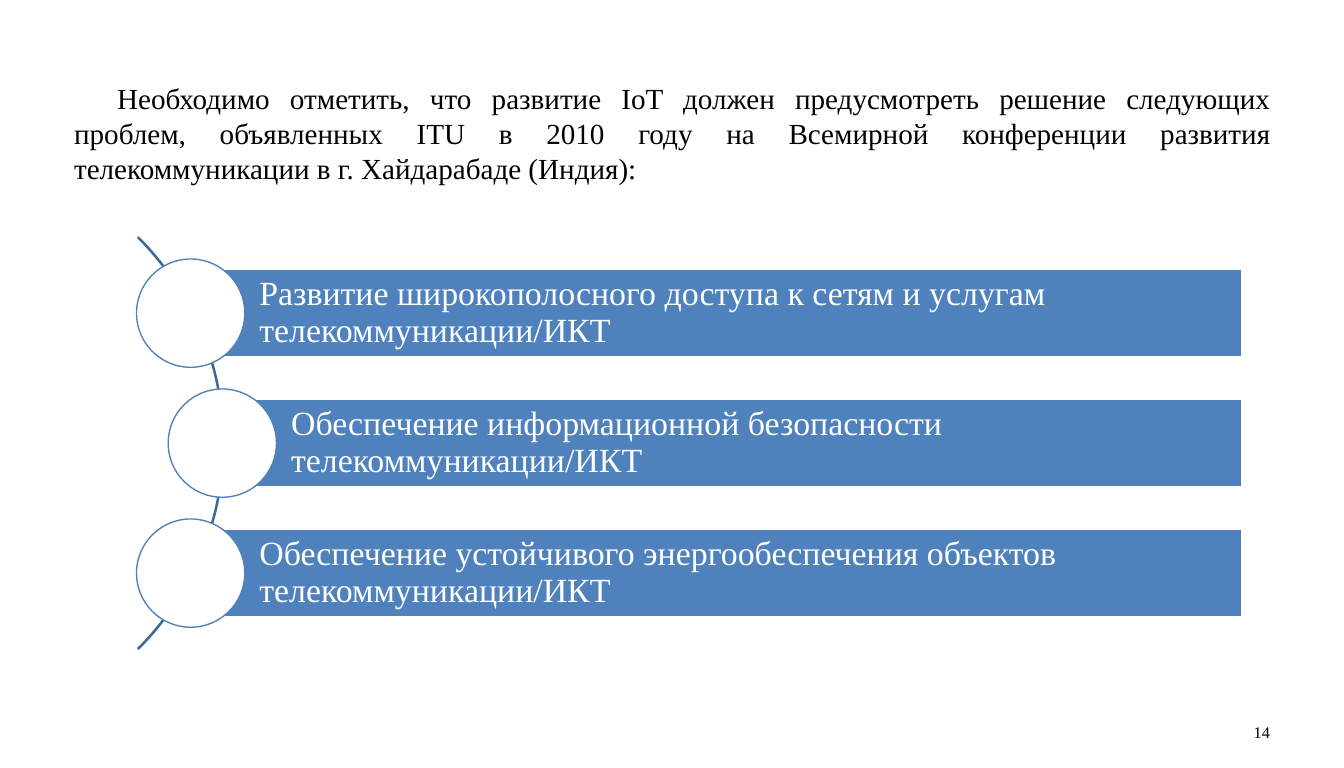
from pptx import Presentation
from pptx.dml.color import RGBColor
from pptx.enum.shapes import MSO_SHAPE as SHAPE
from pptx.enum.text import MSO_ANCHOR as ANCHOR, PP_ALIGN as ALIGN
from pptx.util import Cm, Pt


def rgb(value):
    return RGBColor.from_string(value)


def write(s, text, size, color, align, anchor, margins):
    tf = s.text_frame
    tf.word_wrap = True
    tf.vertical_anchor = anchor
    for side, value in margins.items():
        setattr(tf, f"margin_{side}", Cm(value))
    p = tf.paragraphs[0]
    p.alignment = align
    r = p.add_run()
    r.text = text
    for name, value in {"name": "Times New Roman", "size": Pt(size)}.items():
        setattr(r.font, name, value)
    r.font.color.rgb = rgb(color)
    return p


prs = Presentation()
prs.slide_width, prs.slide_height = Cm(70), Cm(40)
slide = prs.slides.add_slide(prs.slide_layouts[6])
sp = slide.shapes
BLUE, DARK_BLUE, WHITE, BLACK = "4F81BD", "3F6797", "FFFFFF", "000000"
BOX_MARGINS = {"left": 0.36, "right": 0.36, "top": 0.18, "bottom": 0.18}
BAR_MARGINS = {"left": 3.58, "right": 0.36, "top": 0.36, "bottom": 0.36}

# Introduction
s = sp.add_textbox(Cm(3.5), Cm(4.01), Cm(63.02), Cm(10.39))
p = write(s, "Необходимо отметить, что развитие IoT должен предусмотреть решение "
          "следующих проблем, объявленных ITU в 2010 году на Всемирной конференции "
          "развития телекоммуникации в г. Хайдарабаде (Индия):",
          43, BLACK, ALIGN.JUSTIFY, ANCHOR.TOP, BOX_MARGINS)
p._p.get_or_add_pPr().set("indent", str(Cm(2.24)))

# Slide number
s = sp.add_textbox(Cm(50.17), Cm(37.08), Cm(16.33), Cm(2.13))
write(s, "14", 24, BLACK, ALIGN.RIGHT, ANCHOR.MIDDLE, BOX_MARGINS)

# Arc behind the list: a quarter turn centred on the middle bar
arc_x, mid_y, arc_size = -3.51, 23.08, 30.35
s = sp.add_shape(SHAPE.BLOCK_ARC, Cm(arc_x - arc_size / 2), Cm(mid_y - arc_size / 2),
                 Cm(arc_size), Cm(arc_size))
for i, value in enumerate((189, 27, 0.002)):
    s.adjustments[i] = value
s.shadow.inherit = False
s.fill.background()
s.line.color.rgb = rgb(DARK_BLUE)
s.line.width = Pt(2)

# Bars, each with a circle centred on its left edge
right, pitch, bar_h, circle = 64.69, 6.77, 4.52, 5.64
problems = [
    (9.93, "Развитие широкополосного доступа к сетям и услугам телекоммуникации/ИКТ"),
    (11.58, "Обеспечение информационной безопасности телекоммуникации/ИКТ"),
    (9.93, "Обеспечение устойчивого энергообеспечения объектов телекоммуникации/ИКТ"),
]
for i, (left, text) in enumerate(problems):
    y = mid_y + (i - 1) * pitch
    bar = sp.add_shape(SHAPE.RECTANGLE, Cm(left), Cm(y - bar_h / 2),
                       Cm(right - left), Cm(bar_h))
    p = write(bar, text, 50, WHITE, ALIGN.LEFT, ANCHOR.MIDDLE, BAR_MARGINS)
    p.line_spacing = 0.9
    dot = sp.add_shape(SHAPE.OVAL, Cm(left - circle / 2), Cm(y - circle / 2),
                       Cm(circle), Cm(circle))
    for s, fill, line in ((bar, BLUE, WHITE), (dot, WHITE, BLUE)):
        s.shadow.inherit = False
        s.fill.solid()
        s.fill.fore_color.rgb = rgb(fill)
        s.line.color.rgb = rgb(line)
        s.line.width = Pt(2)

prs.save("out.pptx")
